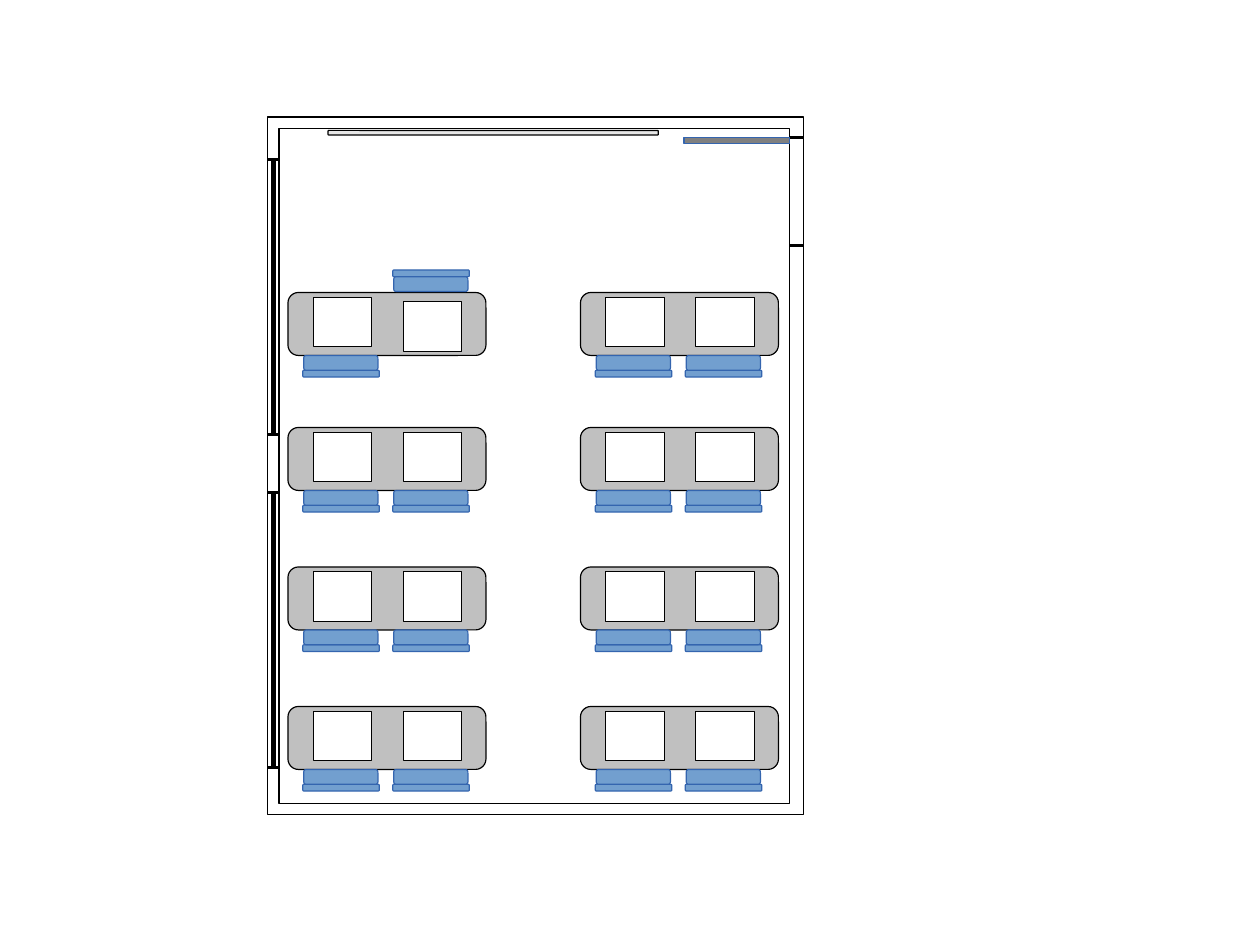
from dataclasses import dataclass
from itertools import product

from pptx import Presentation
from pptx.dml.color import RGBColor
from pptx.enum.shapes import MSO_CONNECTOR as Connector, MSO_SHAPE as Preset
from pptx.oxml.ns import qn
from pptx.util import Cm, Pt
from lxml import etree


@dataclass(frozen=True)
class Theme:
    ink: str = "000000"
    edge: str = "3465AF"
    chair: str = "729FCF"
    desk: str = "C0C0C0"
    paper: str = "FFFFFF"
    door: str = "808080"
    board: str = "E6E6E6"
    hairline: float = 0


THEME = Theme()

OUTER_WALL = (5.95, 2.6, 11.9, 15.5)
INNER_WALL = (6.2, 2.85, 11.35, 15)
DOOR_LEAF = (15.2, 3.05, 2.35, 0.15)
BOARD = (7.29, 2.9, 7.34, 0.1)
DOORWAY = (3.05, 5.45)
WINDOWS = [(3.55, 9.65), (10.95, 17.05)]
WINDOW_PANES = (6.1, 6.05)

DESK_COLUMNS = (6.4, 12.9)
DESK_ROWS = (6.5, 9.5, 12.6, 15.7)
DESK_SIZE = (4.4, 1.4)
PLACES = (0, 2)
BACK_SIZE = (1.7, 0.15)
SEAT_SIZE = (1.65, 0.33)
PAPER_SIZE = (1.3, 1.1)
BACK_INSET, SEAT_INSET, PAPER_INSET = 0.33, 0.35, 0.56
PAPER_DROP, FACING_PAPER_DROP = 0.11, 0.21
FACING_GAP = 0.02
FACING_PLACE = (DESK_COLUMNS[0], DESK_ROWS[0], PLACES[1])


def add_block(slide, preset, box, fill=None, line=THEME.ink):
    shape = slide.shapes.add_shape(preset, *map(Cm, box))
    shape.shadow.inherit = False
    if fill:
        shape.fill.solid()
        shape.fill.fore_color.rgb = RGBColor.from_string(fill)
    else:
        shape.fill.background()
    shape.line.color.rgb = RGBColor.from_string(line)
    shape.line.width = Pt(THEME.hairline)


def add_line(slide, start, end):
    connector = slide.shapes.add_connector(Connector.STRAIGHT, *map(Cm, start + end))
    connector.line.color.rgb = RGBColor.from_string(THEME.ink)
    connector.line.width = Pt(THEME.hairline)
    properties = connector._element.find(qn("p:spPr"))
    etree.SubElement(properties, qn("a:effectLst"))


def add_opening(slide, left, right, ends):
    for y in ends:
        add_line(slide, (left, y), (right, y))


def add_room(slide):
    outer_left, inner_left = OUTER_WALL[0], INNER_WALL[0]
    outer_right = outer_left + OUTER_WALL[2]
    inner_right = inner_left + INNER_WALL[2]
    for wall in (OUTER_WALL, INNER_WALL):
        add_block(slide, Preset.RECTANGLE, wall)
    add_opening(slide, inner_right, outer_right, DOORWAY)
    add_block(slide, Preset.RECTANGLE, DOOR_LEAF, THEME.door, THEME.edge)
    for top, bottom in WINDOWS:
        add_opening(slide, outer_left, inner_left, (top, bottom))
        for x in WINDOW_PANES:
            add_line(slide, (x, bottom), (x, top))


def add_chair(slide, left, desk_top, facing):
    if facing:
        seat_top = desk_top - FACING_GAP - SEAT_SIZE[1]
        back_top = seat_top - BACK_SIZE[1]
    else:
        seat_top = desk_top + DESK_SIZE[1]
        back_top = seat_top + SEAT_SIZE[1]
    for inset, top, size in (
        (BACK_INSET, back_top, BACK_SIZE),
        (SEAT_INSET, seat_top, SEAT_SIZE),
    ):
        box = (left + inset, top, *size)
        add_block(slide, Preset.ROUNDED_RECTANGLE, box, THEME.chair, THEME.edge)


def add_desk(slide, left, top):
    add_block(slide, Preset.ROUNDED_RECTANGLE, (left, top, *DESK_SIZE), THEME.desk)
    for place in PLACES:
        facing = (left, top, place) == FACING_PLACE
        add_chair(slide, left + place, top, facing)
        drop = FACING_PAPER_DROP if facing else PAPER_DROP
        paper = (left + place + PAPER_INSET, top + drop, *PAPER_SIZE)
        add_block(slide, Preset.RECTANGLE, paper, THEME.paper)


def main():
    presentation = Presentation()
    presentation.slide_width, presentation.slide_height = Cm(28), Cm(21)
    slide = presentation.slides.add_slide(presentation.slide_layouts[6])
    add_room(slide)
    for left, top in product(DESK_COLUMNS, DESK_ROWS):
        add_desk(slide, left, top)
    add_block(slide, Preset.ROUNDED_RECTANGLE, BOARD, THEME.board)
    presentation.save("out.pptx")


if __name__ == "__main__":
    main()
